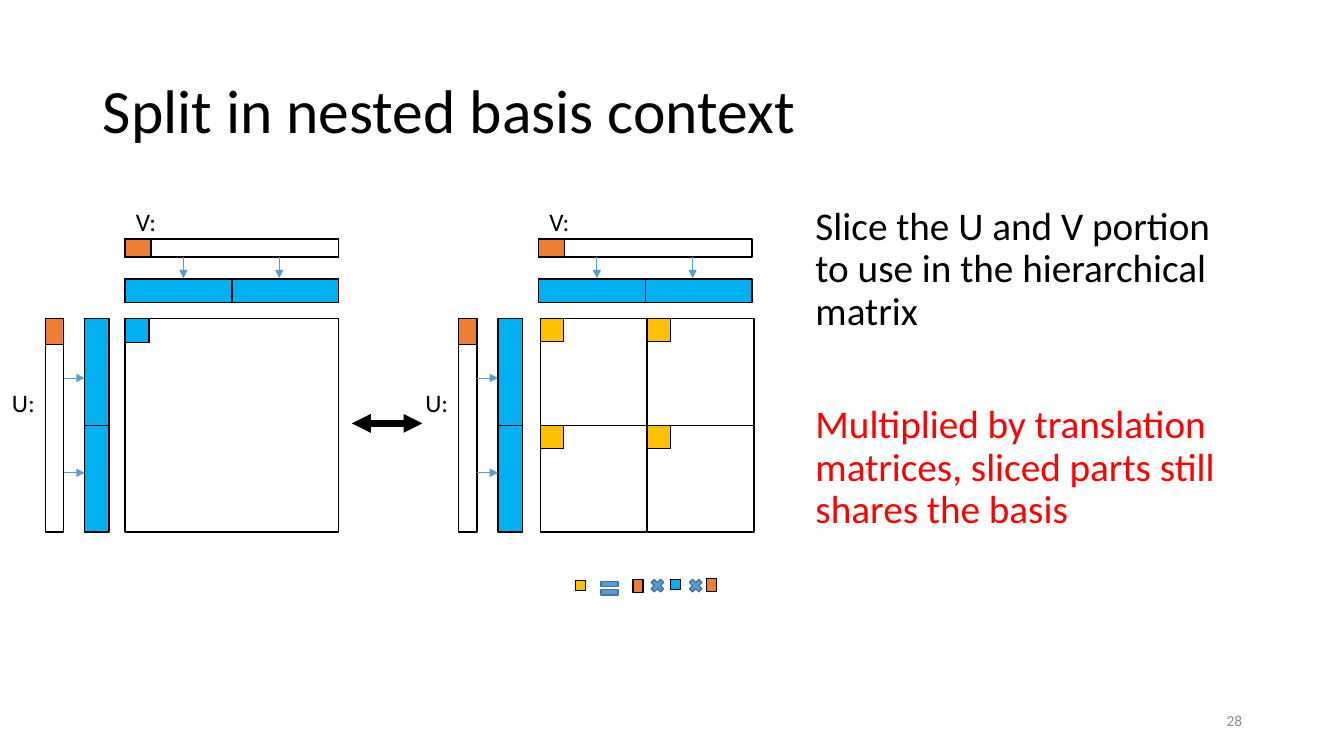
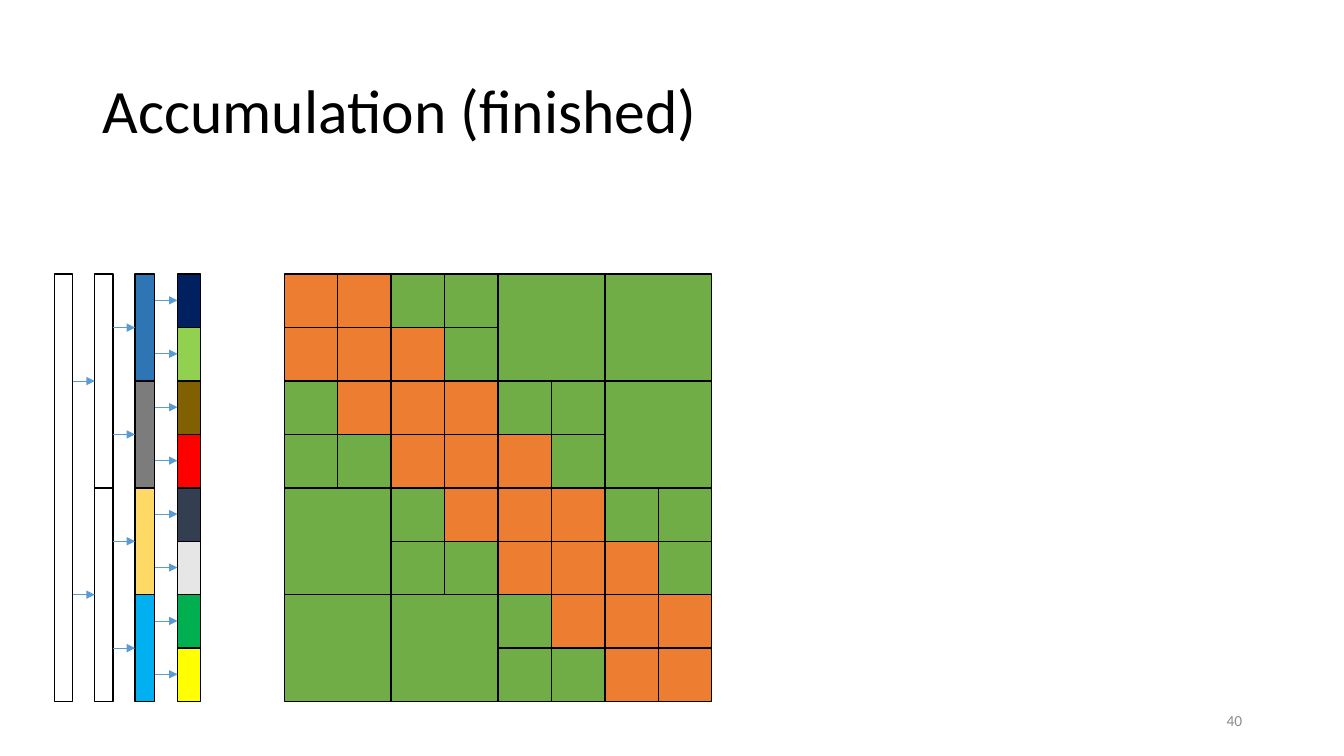
from lxml import etree
from pptx import Presentation
from pptx.dml.color import RGBColor
from pptx.enum.shapes import MSO_CONNECTOR, MSO_SHAPE
from pptx.enum.text import MSO_ANCHOR, MSO_AUTO_SIZE, PP_ALIGN
from pptx.oxml.ns import qn
from pptx.util import Emu, Pt

RECT = MSO_SHAPE.RECTANGLE
EQUAL = MSO_SHAPE.MATH_EQUAL
TIMES = MSO_SHAPE.MATH_MULTIPLY
STRAIGHT = MSO_CONNECTOR.STRAIGHT
MIDDLE, TOP = MSO_ANCHOR.MIDDLE, MSO_ANCHOR.TOP
LEFT, RIGHT = PP_ALIGN.LEFT, PP_ALIGN.RIGHT
NO_FIT = MSO_AUTO_SIZE.NONE

FONT = "Calibri"
COLORS = {
    "black": "000000", "white": "FFFFFF", "grey": "8C8C8C", "red": "FF0000",
    "sky": "00B0F0", "orange": "ED7D31", "gold": "FFC000", "leaf": "70AD47",
    "arrow": "5B9BD5", "outline": "43739E", "steel": "2E75B6",
    "ash": "7C7C7C", "sand": "FFD966", "navy": "002060", "lime": "92D050",
    "brown": "806000", "slate": "333F50", "silver": "E7E6E6",
    "green": "00B050", "yellow": "FFFF00",
}


def px(n):
    """100 px to the inch."""
    return Emu(n * 9144)


def rgb(name):
    return RGBColor.from_string(COLORS[name])


class Deck:
    """Holds the style and the current slide."""

    def __init__(self):
        self.prs = Presentation()
        self.prs.slide_width, self.prs.slide_height = px(1333), px(750)
        self.s = None

    def slide(self, title, number):
        self.s = self.prs.slides.add_slide(self.prs.slide_layouts[5])
        sp = self.s.shapes.title
        sp.left, sp.top, sp.width, sp.height = map(px, (92, 40, 1150, 145))
        self.fill_text(sp.text_frame, [(title, "black", 0)], 44, MIDDLE, spacing=0.9)
        self.text(942, 695, 300, 40, [(str(number), "grey", 0)], 11, MIDDLE, RIGHT)

    def fill_text(self, tf, paragraphs, size, anchor=TOP, align=LEFT, spacing=1.0):
        tf.word_wrap = True
        tf.auto_size = NO_FIT
        tf.vertical_anchor = anchor
        for i, (text, color, before) in enumerate(paragraphs):
            p = tf.add_paragraph() if i else tf.paragraphs[0]
            p.alignment = align
            p.line_spacing = spacing
            p.space_before = Pt(before)
            r = p.add_run()
            r.text = text
            r.font.name, r.font.size = FONT, Pt(size)
            r.font.color.rgb = rgb(color)

    def text(self, x, y, w, h, paragraphs, size, *style):
        sp = self.s.shapes.add_textbox(*map(px, (x, y, w, h)))
        self.fill_text(sp.text_frame, paragraphs, size, *style)

    def box(self, x, y, w, h, fill="white", kind=RECT, line="black"):
        sp = self.s.shapes.add_shape(kind, *map(px, (x, y, w, h)))
        sp.shadow.inherit = False
        sp.fill.solid()
        sp.fill.fore_color.rgb = rgb(fill)
        sp.line.color.rgb = rgb(line)
        sp.line.width = Pt(1)

    def arrow(self, x1, y1, x2, y2, color="arrow", width=0.5, ends=("tailEnd",)):
        c = self.s.shapes.add_connector(STRAIGHT, *map(px, (x1, y1, x2, y2)))
        c.line.color.rgb = rgb(color)
        c.line.width = Pt(width)
        ln = c._element.spPr.find(qn("a:ln"))
        for end in ends:
            etree.SubElement(ln, qn("a:" + end), type="triangle")
        etree.SubElement(c._element.spPr, qn("a:effectLst"))


def basis_strips(d, x):
    """U strips on the left of a matrix and V strips above it."""
    # U: column basis
    d.text(x + 2, 379, 52, 40, [("U:", "black", 0)], 18)
    d.box(x + 45, 316, 18, 212)
    d.box(x + 45, 316, 18, 26, "orange")
    # V: row basis
    d.text(x + 125, 200, 52, 40, [("V:", "black", 0)], 18)
    d.box(x + 124, 237, 212, 18)
    d.box(x + 124, 237, 26, 18, "orange")
    # Sliced halves
    for i in range(2):
        d.box(x + 84, 316 + 106 * i, 24, 106, "sky")
        d.box(x + 124 + 106 * i, 277, 106, 23, "sky")
        d.arrow(x + 63, 375 + 94 * i, x + 84, 375 + 94 * i)
        d.arrow(x + 182 + 95 * i, 255, x + 182 + 95 * i, 276)


def split_slide(d):
    d.slide("Split in nested basis context", 28)
    d.text(799, 200, 443, 476, [
        ("Slice the U and V portion to use in the hierarchical matrix", "black", 10),
        ("Multiplied by translation matrices, sliced parts still shares the basis",
         "red", 51),
    ], 28, TOP, LEFT, 0.9)

    # Whole matrix and its split into four blocks
    d.box(124, 316, 212, 212)
    d.box(124, 316, 24, 24, "sky")
    for row in range(2):
        for col in range(2):
            x, y = 536 + 106 * col, 316 + 106 * row
            d.box(x, y, 106, 106)
            d.box(x, y, 23, 23, "gold")
    for x in (0, 410):
        basis_strips(d, x)
    d.arrow(349, 420, 419, 420, "black", 4.5, ("headEnd", "tailEnd"))

    # Equation under the split matrix
    for x, y, w, h, fill in ((571, 576, 10, 10, "gold"), (628, 575, 10, 13, "orange"),
                             (665, 575, 10, 10, "sky"), (701, 574, 10, 13, "orange")):
        d.box(x, y, w, h, fill)
    for x, size, kind in ((593, 23, EQUAL), (643, 18, TIMES), (681, 18, TIMES)):
        d.box(x, 572, size, size, "arrow", kind, "outline")


def accumulation_slide(d):
    d.slide("Accumulation (finished)", 40)
    left, top, cell = 282, 272, 53

    # Blocks away from the diagonal stay whole, the others split into cells
    for row in range(0, 8, 2):
        for col in range(0, 8, 2):
            x, y = left + cell * col, top + cell * row
            if abs(row - col) > 2:
                d.box(x, y, 2 * cell, 2 * cell, "leaf")
                continue
            for i in range(2):
                for j in range(2):
                    near = abs(row + i - col - j) < 2
                    d.box(x + cell * j, y + cell * i, cell, cell,
                          "orange" if near else "leaf")

    # Basis levels, each split in two from the one before
    levels = (
        (54, 18, ("white",)),
        (94, 18, ("white", "white")),
        (134, 19, ("steel", "ash", "sand", "sky")),
        (176, 23, ("navy", "lime", "brown", "red",
                   "slate", "silver", "green", "yellow")),
    )
    for depth, (x, w, fills) in enumerate(levels):
        h = 8 * cell // len(fills)
        for i, fill in enumerate(fills):
            y = top + h * i
            d.box(x, y, w, h, fill)
            if depth:
                d.arrow(x - 22, y + h // 2, x, y + h // 2)


def main():
    d = Deck()
    split_slide(d)
    accumulation_slide(d)
    d.prs.save("out.pptx")


if __name__ == "__main__":
    main()
